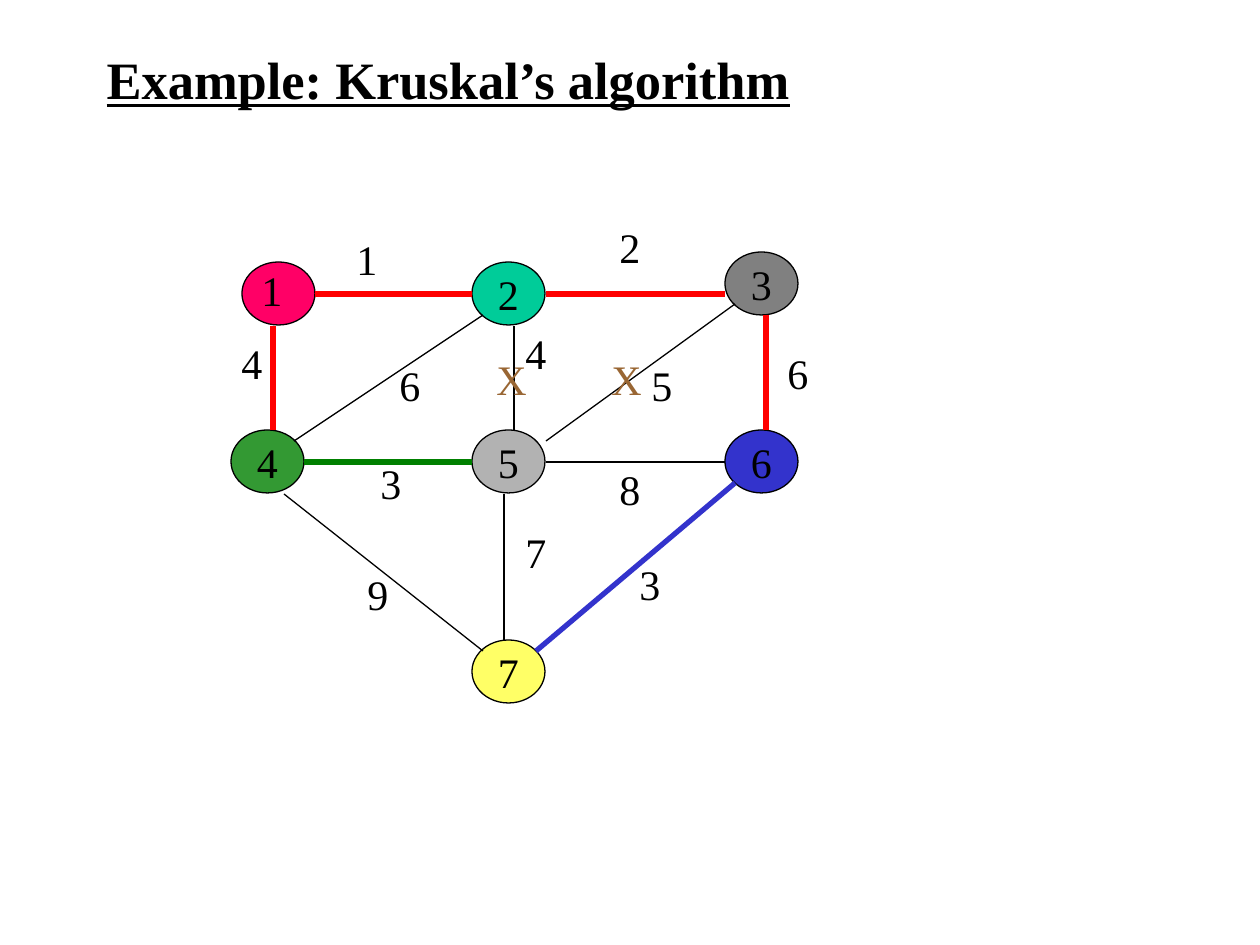
import pptx
import pptx.util
import pptx.dml.color
import pptx.enum.shapes
import pptx.enum.text
import pptx.oxml.ns
import lxml.etree

RGB = pptx.dml.color.RGBColor
ALIGN = pptx.enum.text.PP_ALIGN
ANCHOR = pptx.enum.text.MSO_ANCHOR
BLACK = RGB(0x00, 0x00, 0x00)
RED = RGB(0xFF, 0x00, 0x00)
GREEN = RGB(0x00, 0x80, 0x00)
BLUE = RGB(0x33, 0x33, 0xCC)
BROWN = RGB(0x99, 0x66, 0x33)
PINK = RGB(0xFF, 0x00, 0x66)
TEAL = RGB(0x00, 0xCC, 0x99)
GRAY = RGB(0x80, 0x80, 0x80)
SILVER = RGB(0xB2, 0xB2, 0xB2)
LEAF = RGB(0x33, 0x99, 0x33)
YELLOW = RGB(0xFF, 0xFF, 0x66)

FONT = "Times New Roman"
SCALE = 914400 / 126
NODE_W, NODE_H = 73, 63
THIN, BOLD = 0.75, 3

TITLE = "Example: Kruskal’s algorithm"

# name, left, top, fill; the name of node 1 stands in its own label
NODES = [
    ("", 242, 262, PINK),
    ("2", 472, 262, TEAL),
    ("3", 725, 252, GRAY),
    ("6", 725, 430, BLUE),
    ("5", 472, 430, SILVER),
    ("4", 231, 430, LEAF),
    ("7", 472, 640, YELLOW),
]

# start, end, colour, width
EDGES = [
    ((514, 326), (514, 430), BLACK, THIN),
    ((483, 315), (294, 441), BLACK, THIN),
    ((546, 462), (725, 462), BLACK, THIN),
    ((735, 304), (546, 441), BLACK, THIN),
    ((504, 494), (504, 640), BLACK, THIN),
    ((284, 494), (483, 651), BLACK, THIN),
    ((315, 294), (472, 294), RED, BOLD),
    ((546, 294), (725, 294), RED, BOLD),
    ((273, 326), (273, 430), RED, BOLD),
    ((304, 462), (472, 462), GREEN, BOLD),
    ((735, 483), (536, 651), BLUE, BOLD),
    ((766, 315), (766, 430), RED, BOLD),
]

# text, left, top
WEIGHTS = [
    ("1", 344, 227), ("2", 607, 215), ("4", 229, 331), ("6", 387, 353),
    ("4", 513, 321), ("6", 775, 341), ("5", 639, 353), ("3", 368, 451),
    ("8", 607, 457), ("9", 355, 562), ("3", 627, 552), ("7", 513, 520),
    ("1", 249, 258),
]
CROSSES = [("X", 484, 347), ("X", 599, 347)]


def emu(*sizes):
    return [pptx.util.Emu(round(size * SCALE)) for size in sizes]


def write(frame, text, color=BLACK, size=24, align=ALIGN.LEFT):
    para = frame.paragraphs[0]
    para.alignment = align
    run = para.add_run()
    run.text = text
    run.font.name = FONT
    run.font.size = pptx.util.Pt(size)
    run.font.color.rgb = color
    return run


def add_title(slide):
    title = slide.shapes.title
    title.left, title.top, title.width, title.height = emu(94, 42, 851, 73)
    frame = title.text_frame
    frame.vertical_anchor = ANCHOR.MIDDLE
    frame.auto_size = pptx.enum.text.MSO_AUTO_SIZE.NONE
    run = write(frame, TITLE, size=30)
    run.font.bold = True
    run.font.underline = True


def add_node(slide, name, left, top, fill):
    node = slide.shapes.add_shape(
        pptx.enum.shapes.MSO_SHAPE.OVAL, *emu(left, top, NODE_W, NODE_H))
    node.shadow.inherit = False
    node.fill.solid()
    node.fill.fore_color.rgb = fill
    node.line.color.rgb = BLACK
    node.line.width = pptx.util.Pt(THIN)
    if name:
        frame = node.text_frame
        frame.word_wrap = False
        frame.vertical_anchor = ANCHOR.MIDDLE
        write(frame, name, align=ALIGN.CENTER)


def add_edge(slide, start, end, color, width):
    edge = slide.shapes.add_connector(
        pptx.enum.shapes.MSO_CONNECTOR.STRAIGHT, *emu(*start, *end))
    edge.line.color.rgb = color
    edge.line.width = pptx.util.Pt(width)
    lxml.etree.SubElement(
        edge._element.spPr, pptx.oxml.ns.qn("a:effectLst"))


def add_label(slide, text, left, top, width, color):
    box = slide.shapes.add_textbox(*emu(left, top, width, 63))
    frame = box.text_frame
    frame.word_wrap = False
    frame.auto_size = pptx.enum.text.MSO_AUTO_SIZE.SHAPE_TO_FIT_TEXT
    write(frame, text, color)


def main():
    deck = pptx.Presentation()
    deck.slide_width, deck.slide_height = emu(1260, 945)
    slide = deck.slides.add_slide(deck.slide_layouts[5])
    add_title(slide)
    for node in NODES:
        add_node(slide, *node)
    for edge in EDGES:
        add_edge(slide, *edge)
    for label in WEIGHTS:
        add_label(slide, *label, 45, BLACK)
    for label in CROSSES:
        add_label(slide, *label, 55, BROWN)
    deck.save("out.pptx")


if __name__ == "__main__":
    main()
